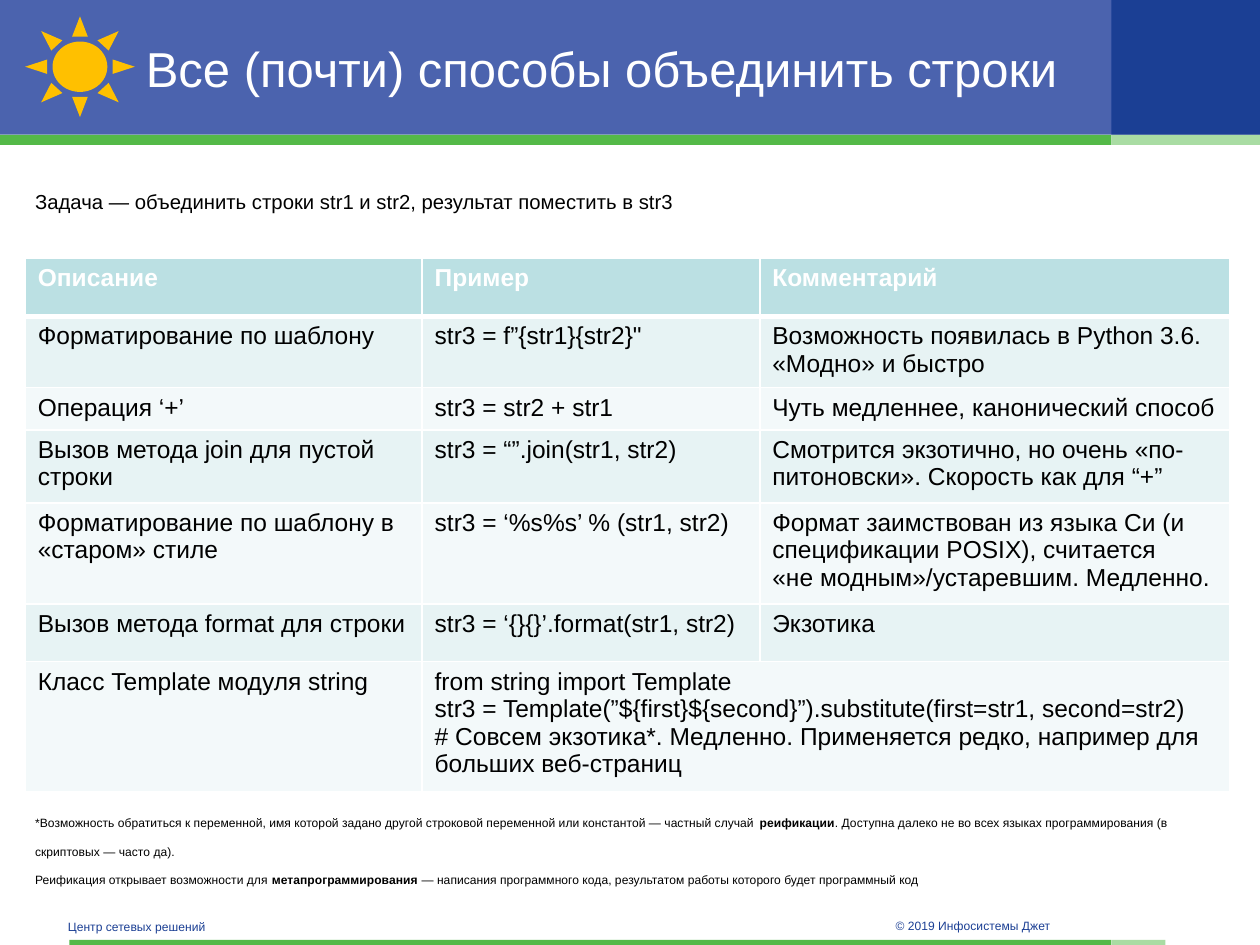
from pptx import Presentation
from pptx.dml.color import RGBColor
from pptx.enum.shapes import MSO_SHAPE
from pptx.enum.text import MSO_ANCHOR, MSO_AUTO_SIZE
from pptx.oxml import parse_xml
from pptx.oxml.ns import nsdecls
from pptx.util import Inches, Pt

# Content
TITLE = "Все (почти) способы объединить строки"
TASK = "Задача — объединить строки str1 и str2, результат поместить в str3"
HEADER = ["Описание", "Пример", "Комментарий"]
METHODS = [
    ["Форматирование по шаблону", "str3 = f”{str1}{str2}\"",
     "Возможность появилась в Python 3.6. «Модно» и быстро"],
    ["Операция ‘+’", "str3 = str2 + str1", "Чуть медленнее, канонический способ"],
    ["Вызов метода join для пустой строки", "str3 = “”.join(str1, str2)",
     "Смотрится экзотично, но очень «по-питоновски». Скорость как для “+”"],
    ["Форматирование по шаблону в «старом» стиле", "str3 = ‘%s%s’ % (str1, str2)",
     "Формат заимствован из языка Си (и спецификации POSIX), считается\v"
     "«не модным»/устаревшим. Медленно."],
    ["Вызов метода format для строки", "str3 = ‘{}{}’.format(str1, str2)", "Экзотика"],
    ["Класс Template модуля string",
     "from string import Template\n"
     "str3 = Template(”${first}${second}”).substitute(first=str1, second=str2)\n"
     "# Совсем экзотика*. Медленно. Применяется редко, например для больших веб-страниц"],
]
# Each note is a list of runs: (text, bold)
NOTES = [
    [("*Возможность обратиться к переменной, имя которой задано другой строковой "
      "переменной или константой — частный случай ", False),
     ("реификации", True),
     (". Доступна далеко не во всех языках программирования (в скриптовых — часто да).", False)],
    [("Реификация открывает возможности для ", False),
     ("метапрограммирования", True),
     (" — написания программного кода, результатом работы которого будет программный код", False)],
]
DEPARTMENT = "Центр сетевых решений"
COPYRIGHT = "© 2019 Инфосистемы Джет"

# Look and layout, in inches
COLORS = {"band": "4B63AE", "navy": "1B3F94", "green": "54B948", "mint": "A9DCA3",
          "sun": "FFC000", "head": "BBE0E3", "odd": "E7F3F4", "even": "F3F9FA",
          "white": "FFFFFF", "black": "000000"}
WIDTH, HEIGHT = 10, 7.5
SPLIT, BAND_H, RULE_H = 8.82, 1.07, 0.08
FOOT_Y, FOOT_X, FOOT_H = 7.46, 0.55, 0.04
COLS = [3.15, 2.68, 3.73]
ROWS = [0.46, 0.49, 0.3, 0.58, 0.52, 0.46, 0.46]
SHAPES = [
    (MSO_SHAPE.RECTANGLE, 0, 0, WIDTH, BAND_H, "band"),
    (MSO_SHAPE.RECTANGLE, SPLIT, 0, WIDTH - SPLIT, BAND_H, "navy"),
    (MSO_SHAPE.RECTANGLE, 0, BAND_H, SPLIT, RULE_H, "green"),
    (MSO_SHAPE.RECTANGLE, SPLIT, BAND_H, WIDTH - SPLIT, RULE_H, "mint"),
    (MSO_SHAPE.RECTANGLE, FOOT_X, FOOT_Y, SPLIT - FOOT_X, FOOT_H, "green"),
    (MSO_SHAPE.RECTANGLE, SPLIT, FOOT_Y, 0.43, FOOT_H, "mint"),
    (MSO_SHAPE.SUN, 0.2, 0.13, 0.87, 0.8, "sun"),
]


def rgb(name):
    return RGBColor.from_string(COLORS[name])


def style(r, size, color, bold=False, lowered=False):
    for key, value in {"name": "Arial", "size": Pt(size), "bold": bold}.items():
        setattr(r.font, key, value)
    r.font.color.rgb = rgb(color)
    if lowered:
        r.font._element.set("baseline", "-25000")


def add_text(s, box, paragraphs, size, color, lowered=True, **frame):
    tf = s.shapes.add_textbox(*map(Inches, box)).text_frame
    for key, value in {"word_wrap": True, **frame}.items():
        setattr(tf, key, value)
    for i, runs in enumerate(paragraphs):
        p = tf.add_paragraph() if i else tf.paragraphs[0]
        for text, bold in runs:
            r = p.add_run()
            r.text = text
            style(r, size, color, bold, lowered)


def add_borders(cell, bottom):
    tc_pr = cell._tc.get_or_add_tcPr()
    for i, (side, width) in enumerate([("L", 1), ("R", 1), ("T", 1), ("B", bottom)]):
        tc_pr.insert(i, parse_xml(
            f'<a:ln{side} {nsdecls("a")} w="{Pt(width)}"><a:solidFill>'
            f'<a:srgbClr val="{COLORS["white"]}"/></a:solidFill></a:ln{side}>'))


def add_methods(s):
    table = s.shapes.add_table(len(ROWS), len(COLS), Inches(0.2), Inches(2.05),
                               Inches(sum(COLS)), Inches(sum(ROWS))).table
    for col, width in zip(table.columns, COLS):
        col.width = Inches(width)
    for row, height in zip(table.rows, ROWS):
        row.height = Inches(height)
    for i, texts in enumerate([HEADER] + METHODS):
        if len(texts) < len(COLS):
            table.cell(i, len(texts) - 1).merge(table.cell(i, len(COLS) - 1))
        fill = "head" if i == 0 else "odd" if i % 2 else "even"
        for j in range(len(COLS)):
            cell = table.cell(i, j)
            cell.fill.solid()
            cell.fill.fore_color.rgb = rgb(fill)
            add_borders(cell, 1 if i else 3)
            if j < len(texts):
                cell.text_frame.text = texts[j]
            for p in cell.text_frame.paragraphs:
                for r in p.runs:
                    style(r, 14, "black" if i else "white", bold=i == 0)


def main():
    prs = Presentation()
    prs.slide_width, prs.slide_height = Inches(WIDTH), Inches(HEIGHT)
    s = prs.slides.add_slide(prs.slide_layouts[6])

    # Header band, rules and sun
    for kind, x, y, w, h, color in SHAPES:
        sp = s.shapes.add_shape(kind, *map(Inches, (x, y, w, h)))
        sp.shadow.inherit = False
        sp.fill.solid()
        sp.fill.fore_color.rgb = rgb(color)
        sp.line.fill.background()

    # Title, task and table
    middle = {"vertical_anchor": MSO_ANCHOR.MIDDLE}
    grow = {"auto_size": MSO_AUTO_SIZE.SHAPE_TO_FIT_TEXT}
    add_text(s, (1.06, 0.14, 7.56, 0.79), [[(TITLE, False)]], 28, "white", lowered=False, **middle)
    add_text(s, (0.18, 1.27, 9.8, 0.44), [[(TASK, False)]], 20, "black", **grow)
    add_methods(s)

    # Notes and footer
    add_text(s, (0.18, 6.31, 9.55, 0.91), NOTES, 12, "black", **grow)
    add_text(s, (0.44, 7.18, 3.3, 0.23), [[(DEPARTMENT, False)]], 12, "navy", **middle)
    add_text(s, (7.01, 7.19, 2.36, 0.2), [[(COPYRIGHT, False)]], 12, "navy", **middle)
    prs.save("out.pptx")


if __name__ == "__main__":
    main()
